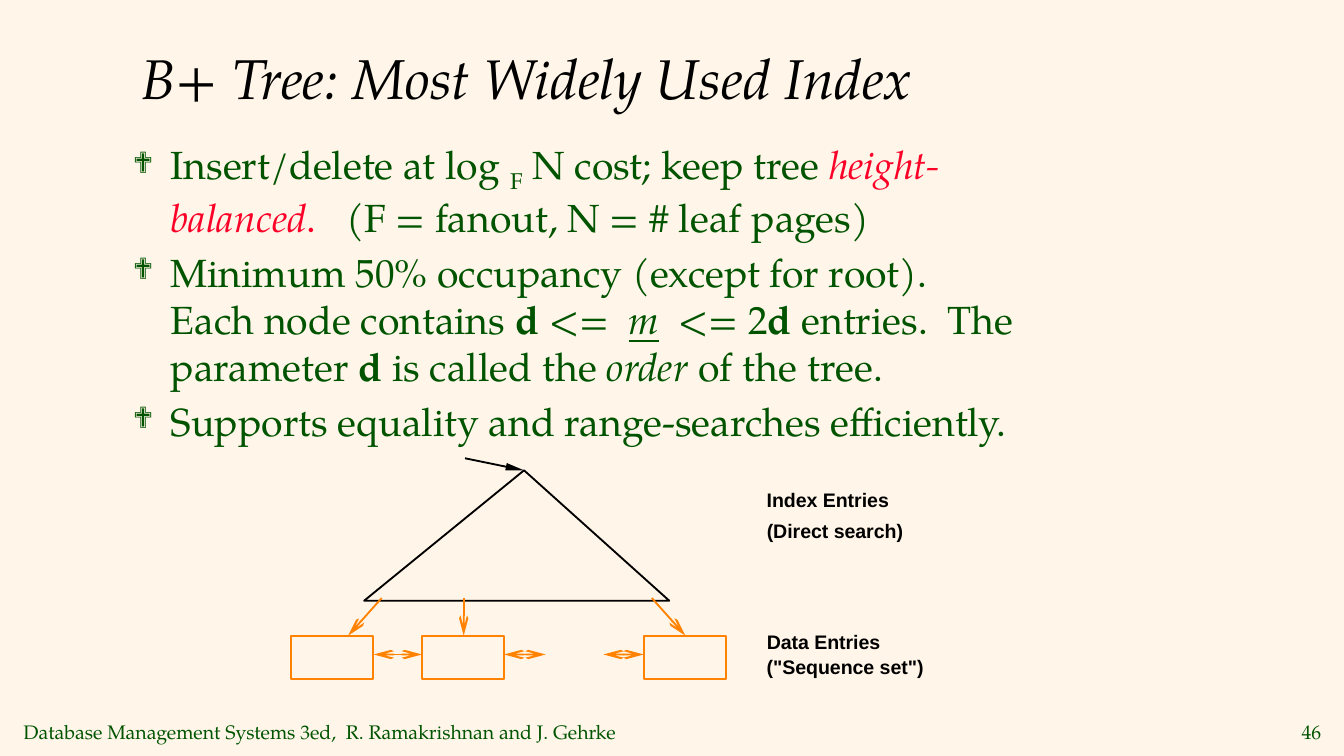
from pptx import Presentation
from pptx.dml.color import RGBColor
from pptx.enum.shapes import MSO_CONNECTOR, MSO_SHAPE
from pptx.enum.text import MSO_ANCHOR, PP_ALIGN
from pptx.oxml.ns import qn
from pptx.util import Inches, Pt
from lxml.etree import SubElement

SERIF, SANS = "TeX Gyre Pagella", "Arial"
PAPER, INK, GREEN, RED, ORANGE = "FFF6E9", "000000", "005400", "FC0128", "FF8200"


def shade(code):
    return RGBColor.from_string(code)


def grid(*cells):
    return [Inches(cell / 10) for cell in cells]


class Board:
    """Draw styled elements on a slide whose grid has 100 columns and 56.25 rows."""

    def __init__(self):
        self.deck = Presentation()
        self.deck.slide_width, self.deck.slide_height = grid(100, 56.25)
        self.slide = self.deck.slides.add_slide(self.deck.slide_layouts[5])
        self.slide.background.fill.solid()
        self.slide.background.fill.fore_color.rgb = shade(PAPER)

    def frame(self, shape, pad, wrap, anchor):
        frame = shape.text_frame
        frame.margin_left = frame.margin_right = Inches(pad)
        frame.margin_top = frame.margin_bottom = Inches(pad / 2)
        frame.word_wrap, frame.vertical_anchor = wrap, anchor
        return frame

    def run(self, para, text, size, face=SERIF, color=GREEN, style="", base=0):
        run = para.add_run()
        run.text = text
        font = run.font
        font.size, font.name, font.color.rgb = Pt(size), face, shade(color)
        font.bold, font.italic, font.underline = ("b" in style, "i" in style, "u" in style)
        if base:
            run._r.get_or_add_rPr().set("baseline", str(base * 1000))

    def title(self, text, *cells):
        shape = self.slide.shapes.title
        shape.left, shape.top, shape.width, shape.height = grid(*cells)
        para = self.frame(shape, 0.1, True, MSO_ANCHOR.MIDDLE).paragraphs[0]
        para.alignment = PP_ALIGN.LEFT
        self.run(para, text, 30, color=INK, style="i")

    def label(self, text, *cells, face=SANS, color=INK, style="b", align=PP_ALIGN.LEFT):
        box = self.slide.shapes.add_textbox(*grid(*cells))
        para = self.frame(box, 0.07, False, MSO_ANCHOR.MIDDLE).paragraphs[0]
        para.alignment = align
        self.run(para, text, 10.5, face, color, style)

    def bullets(self, items, *cells):
        box = self.slide.shapes.add_textbox(*grid(*cells))
        frame = self.frame(box, 0.1, True, MSO_ANCHOR.TOP)
        for at, runs in enumerate(items):
            para = frame.add_paragraph() if at else frame.paragraphs[0]
            props = para._p.get_or_add_pPr()
            props.set("marL", str(Inches(0.28)))
            props.set("indent", str(-Inches(0.28)))
            tint = SubElement(props, qn("a:buClr"))
            SubElement(tint, qn("a:srgbClr")).set("val", GREEN)
            SubElement(props, qn("a:buSzPct")).set("val", "75000")
            SubElement(props, qn("a:buFont")).set("typeface", "Wingdings")
            SubElement(props, qn("a:buChar")).set("char", "❖")
            if at:
                para.space_before = Pt(4.2)
            for text, look in runs:
                self.run(para, text, 21, **look)

    def shape(self, kind, color, *cells):
        shape = self.slide.shapes.add_shape(kind, *grid(*cells))
        shape.shadow.inherit = False
        shape.fill.background()
        shape.line.color.rgb, shape.line.width = shade(color), Pt(1)
        return shape

    def arrow(self, color, *ends, head="arrow", both=False):
        wire = self.slide.shapes.add_connector(MSO_CONNECTOR.STRAIGHT, *grid(*ends))
        wire.line.color.rgb, wire.line.width = shade(color), Pt(1)
        line = wire.line._get_or_add_ln()
        for tag in ("a:headEnd", "a:tailEnd") if both else ("a:tailEnd",):
            tip = SubElement(line, qn(tag))
            tip.set("type", head)
            tip.set("w", "sm")
            tip.set("len", "lg")
        SubElement(wire._element.spPr, qn("a:effectLst"))


def main():
    board = Board()
    bold, slant, red = {"style": "b"}, {"style": "i"}, {"color": RED}
    board.title("B+ Tree: Most Widely Used Index", 9.55, 1.2, 68.8, 9.1)
    board.bullets([
        [("Insert/delete at log ", {}), ("F", {"base": -25}), (" N cost; keep tree ", {}),
         ("height-balanced", red | slant), (".   ", red),
         ("(F = fanout, N = # leaf pages)", {})],
        [("Minimum 50% occupancy (except for root).  Each node contains ", {}),
         ("d", bold), (" <=  ", {}), ("m", {"style": "iu"}), ("  <= 2", {}), ("d", bold),
         (" entries.  The parameter ", {}), ("d", bold), (" is called the ", {}),
         ("order", slant), (" of the tree.", {})],
        [("Supports equality and range-searches efficiently.", {})],
    ], 8.9, 9.95, 68.1, 24.4)

    tree = board.shape(MSO_SHAPE.ISOSCELES_TRIANGLE, INK, 27.1, 35, 22.7, 9.7)
    tree.adjustments[0] = 11.9 / 22.7
    board.arrow(INK, 34.6, 34.1, 39, 35, head="triangle")
    for left in (21.65, 31.4, 47.9):
        board.shape(MSO_SHAPE.RECTANGLE, ORANGE, left, 47.3, 6.1, 3.2)
    for start, end in ((27.8, 31.4), (37.5, 40.6), (44.9, 47.9)):
        board.arrow(ORANGE, start, 48.7, end, 48.7, both=True)
    for start, end in ((28.4, 25.9), (34.5, 34.5), (48.5, 51)):
        board.arrow(ORANGE, start, 44.5, end, 47.3)

    for text, top, width in (("Index Entries", 35.9, 10.7), ("(Direct search)", 38.25, 11.8),
                             ("Data Entries", 46.5, 10.1), ('("Sequence set")', 48.35, 13.4)):
        board.label(text, 56.35, top, width, 2.5)
    foot = {"face": SERIF, "color": GREEN, "style": ""}
    board.label("Database Management Systems 3ed,  R. Ramakrishnan and J. Gehrke",
                1.05, 53.2, 46.4, 2.5, **foot)
    board.label("46", 95.6, 53.2, 3.4, 2.5, align=PP_ALIGN.RIGHT, **foot)
    board.deck.save("out.pptx")


if __name__ == "__main__":
    main()
